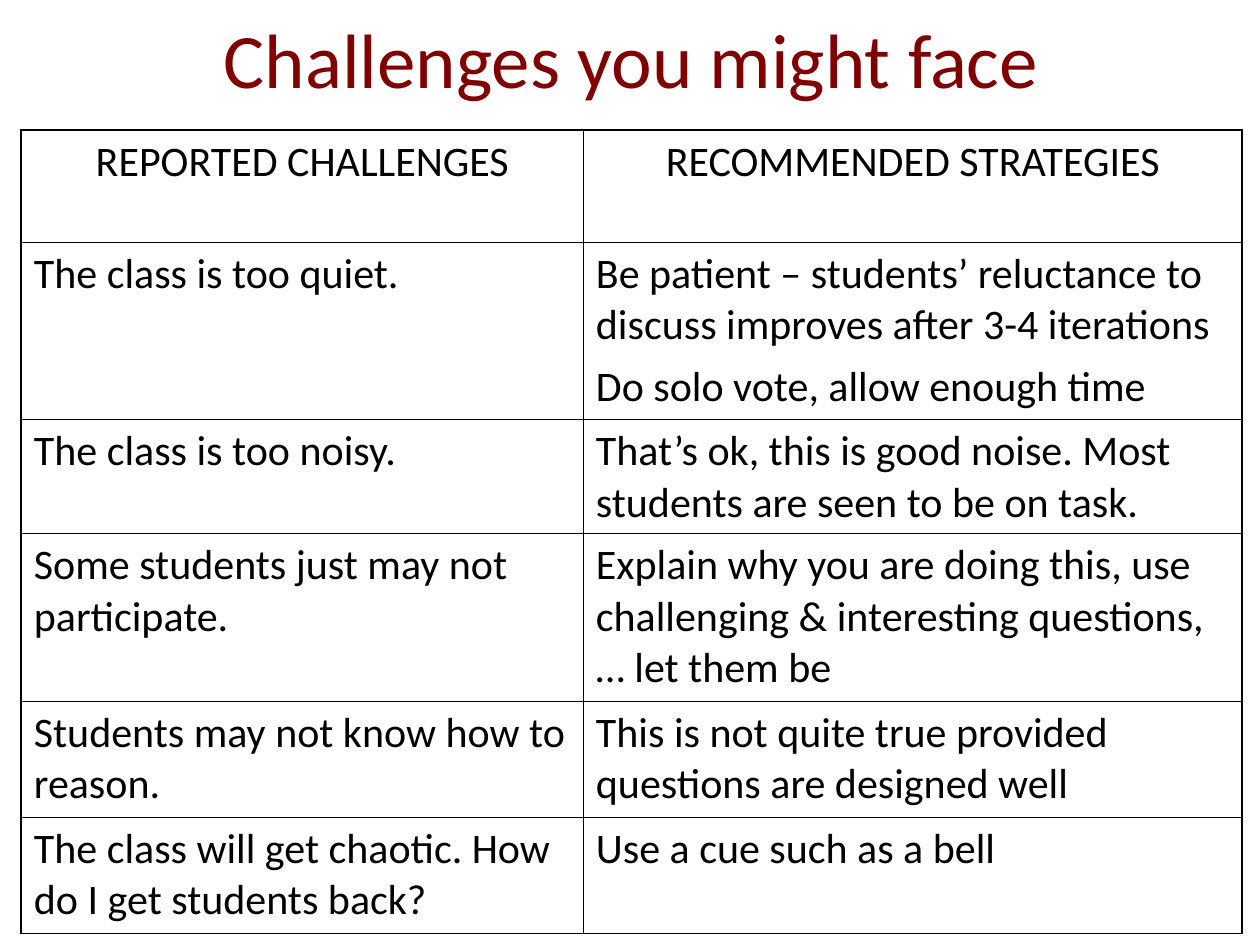
from lxml.etree import SubElement
from pptx import Presentation
from pptx.dml.color import RGBColor
from pptx.enum.text import MSO_ANCHOR, PP_ALIGN
from pptx.oxml.ns import qn
from pptx.util import Cm, Pt


def style(paragraph, size, color, align):
    paragraph.alignment = align
    paragraph.font.name = "Calibri"
    paragraph.font.size = Pt(size)
    paragraph.font.color.rgb = RGBColor.from_string(color)


def add_border(cell, side, width):
    line = SubElement(cell._tc.get_or_add_tcPr(), qn(f"a:ln{side}"), w=str(Pt(width)))
    fill = SubElement(line, qn("a:solidFill"))
    SubElement(fill, qn("a:srgbClr"), val="000000")


deck = Presentation()
deck.slide_width, deck.slide_height = Cm(25.4), Cm(19.05)
page = deck.slides.add_slide(deck.slide_layouts[6])

# Title
box = page.shapes.add_textbox(Cm(1.3), Cm(0), Cm(22.86), Cm(2.34))
frame = box.text_frame
frame.word_wrap = True
frame.vertical_anchor = MSO_ANCHOR.MIDDLE
frame.text = "Challenges you might face"
style(frame.paragraphs[0], 44, "800000", PP_ALIGN.CENTER)

# Table of challenges and strategies; a line break starts a new paragraph
rows = [
    ("REPORTED CHALLENGES", "RECOMMENDED STRATEGIES"),
    ("The class is too quiet.",
     "Be patient – students’ reluctance to discuss improves after 3-4 iterations\n"
     "Do solo vote, allow enough time"),
    ("The class is too noisy.",
     "That’s ok, this is good noise. Most students are seen to be on task."),
    ("Some students just may not participate.",
     "Explain why you are doing this, use challenging & interesting questions, "
     "… let them be"),
    ("Students may not know how to reason.",
     "This is not quite true provided questions are designed well"),
    ("The class will get chaotic. How do I get students back?",
     "Use a cue such as a bell"),
]
column_widths = [11.33, 13.28]
row_heights = [2.26, 3.58, 2.3, 3.38, 2.34, 2.34]

table = page.shapes.add_table(
    len(rows), len(column_widths), Cm(0.43), Cm(2.62),
    Cm(sum(column_widths)), Cm(sum(row_heights))).table
table.first_row = False
table.horz_banding = False
for column, width in zip(table.columns, column_widths):
    column.width = Cm(width)
for row, height in zip(table.rows, row_heights):
    row.height = Cm(height)

# Cell text, with thick lines on the outside and thin lines inside
thick, thin = 1.08, 0.45
last_row, last_column = len(rows) - 1, len(column_widths) - 1
for r, texts in enumerate(rows):
    for c, text in enumerate(texts):
        cell = table.cell(r, c)
        cell.text = text
        for number, paragraph in enumerate(cell.text_frame.paragraphs):
            style(paragraph, 24, "000000", PP_ALIGN.LEFT if r else PP_ALIGN.CENTER)
            if number:
                paragraph.space_before = Pt(6)
        outer_sides = {"L": c == 0, "R": c == last_column,
                       "T": r == 0, "B": r == last_row}
        for side, outer in outer_sides.items():
            add_border(cell, side, thick if outer else thin)
        cell.fill.background()

deck.save("out.pptx")
